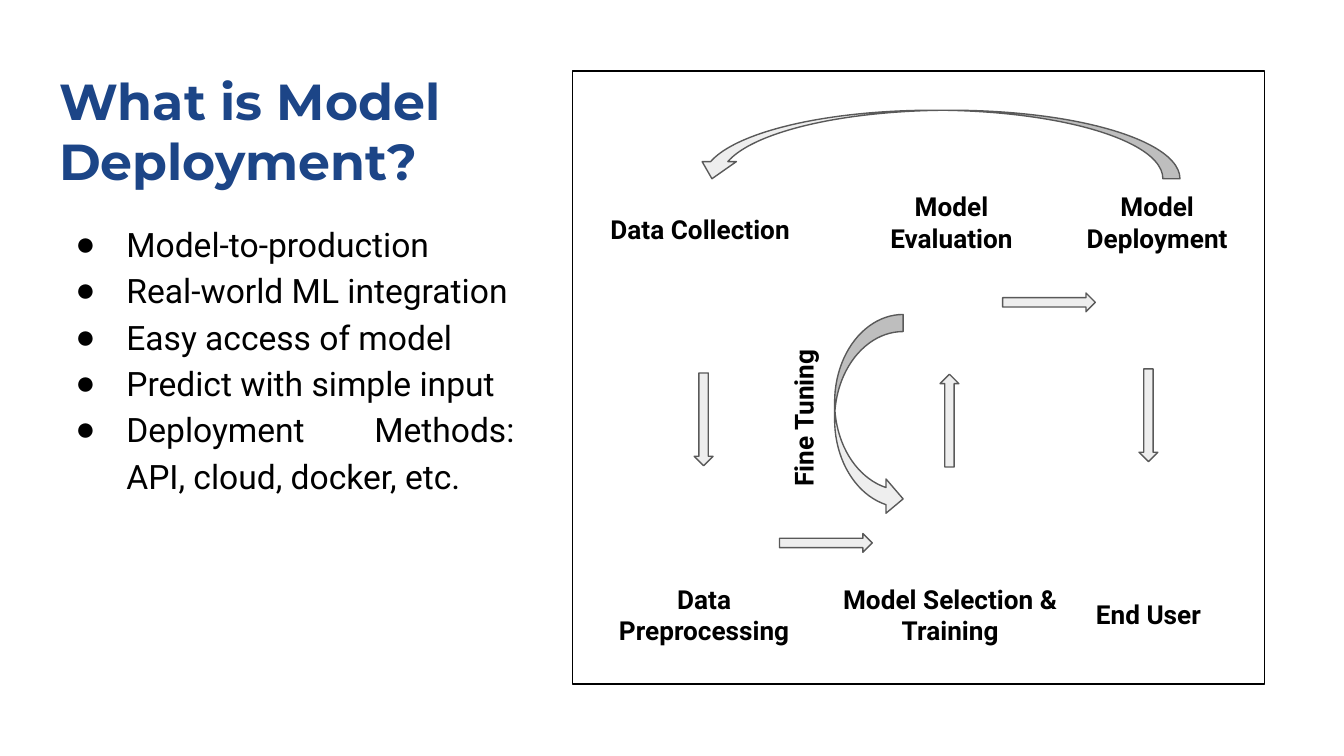
from lxml import etree
from pptx import Presentation
from pptx.dml.color import RGBColor
from pptx.enum.shapes import MSO_SHAPE
from pptx.enum.text import MSO_ANCHOR, MSO_AUTO_SIZE, PP_ALIGN
from pptx.oxml.ns import qn
from pptx.util import Inches, Pt

COLORS = {"title": "1C4587", "text": "000000", "arrow": "EEEEEE", "outline": "595959"}

BULLETS = [
    "Model-to-production",
    "Real-world ML integration",
    "Easy access of model",
    "Predict with simple input",
    "Deployment Methods: API, cloud, docker, etc.",
]

# Text, then left, top, width, height within the panel, and rotation
LABELS = [
    ("Data Collection", 0.02, 0.96, 1.86, 0.44, 0),
    ("Model Evaluation", 2.04, 0.79, 1.56, 0.67, 0),
    ("Model Deployment", 3.54, 0.79, 1.62, 0.67, 0),
    ("Data Preprocessing", 0.05, 3.71, 1.86, 0.67, 0),
    ("Model Selection & Training", 1.88, 3.71, 1.86, 0.67, 0),
    ("End User", 3.59, 3.82, 1.39, 0.44, 0),
    ("Fine Tuning", 0.94, 2.36, 1.56, 0.44, 270),
]

# Left and top within the panel, and rotation
ARROW_SIZE = (0.69, 0.14)
STEP_ARROWS = [
    (0.63, 2.52, 90),    # collection to preprocessing
    (1.54, 3.44, 0),     # preprocessing to training
    (2.46, 2.53, 270),   # training to evaluation
    (3.20, 1.65, 0),     # evaluation to deployment
    (3.94, 2.49, 90),    # deployment to end user
]


def rgb(name):
    return RGBColor.from_string(COLORS[name])


def place(sp, left, top, width, height):
    sp.left, sp.top = Inches(left), Inches(top)
    sp.width, sp.height = Inches(width), Inches(height)


def style_frame(tf, anchor=MSO_ANCHOR.TOP):
    tf.word_wrap = True
    tf.auto_size = MSO_AUTO_SIZE.NONE
    tf.vertical_anchor = anchor
    tf.margin_left = tf.margin_right = tf.margin_top = tf.margin_bottom = Inches(0.1)


def style_font(p, font, size, color, bold=False):
    for r in p.runs:
        r.font.name, r.font.size, r.font.bold = font, Pt(size), bold
        r.font.color.rgb = rgb(color)


def add_bullet(p):
    pPr = p._p.get_or_add_pPr()
    pPr.set("marL", str(Inches(0.5)))
    pPr.set("indent", str(Inches(-0.38)))
    color = etree.SubElement(pPr, qn("a:buClr"))
    etree.SubElement(color, qn("a:srgbClr"), val=COLORS["text"])
    etree.SubElement(pPr, qn("a:buFont"), typeface="Arial")
    etree.SubElement(pPr, qn("a:buChar"), char="●")


def build_title(sp, box):
    place(sp, *box)
    tf = sp.text_frame
    tf.text = "What is Model Deployment?"
    style_frame(tf, MSO_ANCHOR.BOTTOM)
    p = tf.paragraphs[0]
    p.alignment = PP_ALIGN.LEFT
    style_font(p, "Montserrat", 27.1, "title", bold=True)


def build_bullets(sp, box):
    place(sp, *box)
    tf = sp.text_frame
    tf.text = "\n".join(BULLETS)
    style_frame(tf)
    for p in tf.paragraphs:
        add_bullet(p)
        p.alignment = PP_ALIGN.JUSTIFY
        p.line_spacing = 1.15
        p.space_before = Pt(0)
        style_font(p, "Roboto", 18, "text")


def add_outlined(shapes, kind, box, line, fill=None):
    sp = shapes.add_shape(kind, *map(Inches, box))
    sp.shadow.inherit = False
    if fill:
        sp.fill.solid()
        sp.fill.fore_color.rgb = rgb(fill)
    else:
        sp.fill.background()
    sp.line.color.rgb = rgb(line)
    sp.line.width = Pt(0.75)
    return sp


def add_label(shapes, text, box, rotation):
    sp = shapes.add_textbox(*map(Inches, box))
    sp.rotation = rotation
    tf = sp.text_frame
    tf.text = text
    style_frame(tf)
    p = tf.paragraphs[0]
    p.alignment = PP_ALIGN.CENTER
    style_font(p, "Roboto", 14, "text", bold=True)


def build_lifecycle(slide, box):
    left, top = box[:2]
    shapes = slide.shapes.add_group_shape().shapes

    def add_arrow(kind, x, y, width, height):
        return add_outlined(shapes, kind, (left + x, top + y, width, height),
                            "outline", "arrow")

    # Frame
    add_outlined(shapes, MSO_SHAPE.RECTANGLE, box, "text")

    # Stage labels
    for text, x, y, width, height, rotation in LABELS:
        add_label(shapes, text, (left + x, top + y, width, height), rotation)

    # Arrows between stages
    for x, y, rotation in STEP_ARROWS:
        add_arrow(MSO_SHAPE.RIGHT_ARROW, x, y, *ARROW_SIZE).rotation = rotation

    # Fine-tuning loop and the return to data collection
    add_arrow(MSO_SHAPE.CURVED_RIGHT_ARROW, 1.95, 1.81, 0.51, 1.5)
    back = add_arrow(MSO_SHAPE.CURVED_DOWN_ARROW, 0.91, 0.29, 3.61, 0.51)
    back._element.spPr.find(qn("a:xfrm")).set("flipH", "1")


def main():
    prs = Presentation()
    prs.slide_width = Inches(10)
    prs.slide_height = prs.slide_width * 9 // 16
    slide = prs.slides.add_slide(prs.slide_layouts[1])
    build_title(slide.shapes.title, (0.34, 0.53, 3.84, 0.99))
    build_bullets(slide.placeholders[1], (0.34, 1.52, 3.59, 2.39))
    build_lifecycle(slide, (4.26, 0.53, 5.15, 4.56))
    prs.save("out.pptx")


if __name__ == "__main__":
    main()
